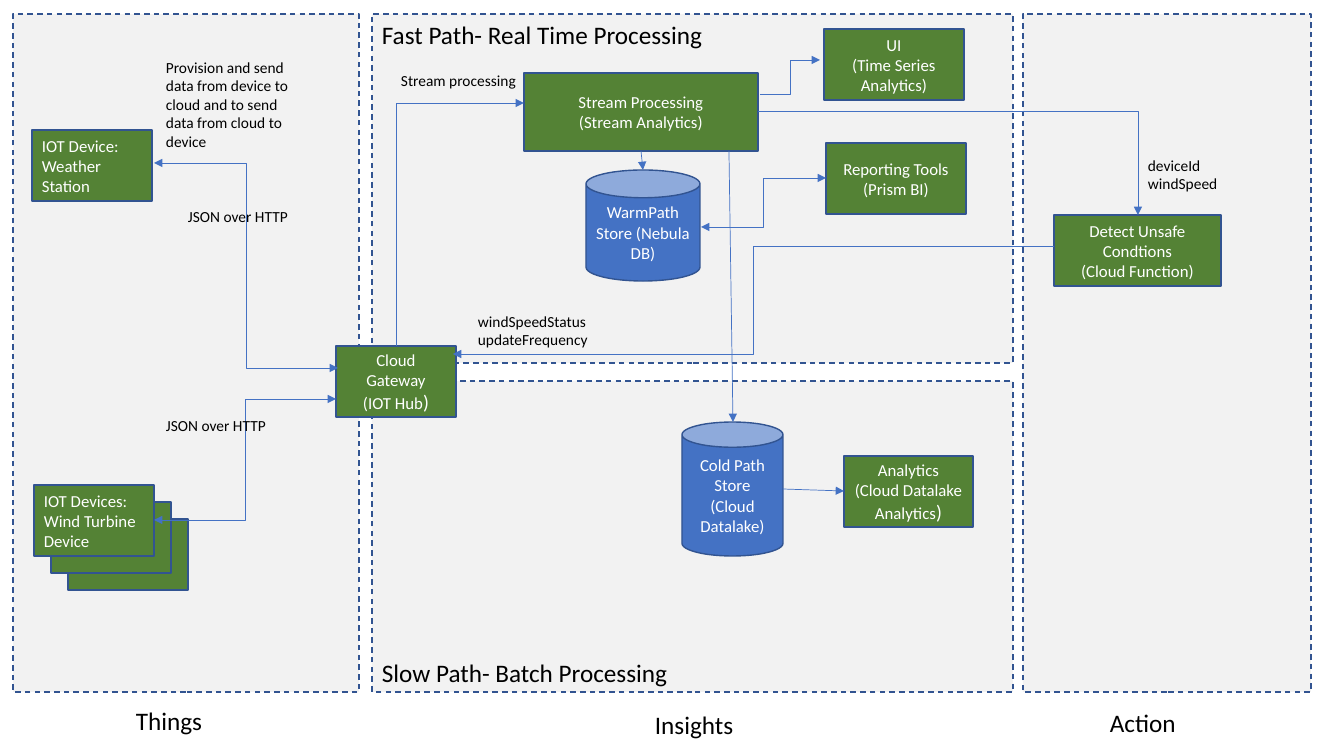
from lxml.etree import SubElement
from pptx import Presentation
from pptx.dml.color import RGBColor
from pptx.enum.dml import MSO_LINE
from pptx.enum.shapes import MSO_CONNECTOR, MSO_SHAPE
from pptx.enum.text import MSO_ANCHOR, PP_ALIGN
from pptx.oxml.ns import qn
from pptx.util import Emu, Pt

COLORS = {
    "panel": "F2F2F2", "service": "548235", "store": "4472C4",
    "outline": "325491", "flow": "4472C4", "dark": "000000", "light": "FFFFFF",
}
EMU_PER_PX = 914400 / 100.8
BOX_W, BOX_H = 120, 71


def px(*lengths):
    return [Emu(round(length * EMU_PER_PX)) for length in lengths]


def color(name):
    return RGBColor.from_string(COLORS[name])


def write(frame, lines, size, ink, align=PP_ALIGN.LEFT, anchor=MSO_ANCHOR.TOP):
    frame.word_wrap = True
    frame.vertical_anchor = anchor
    for i, line in enumerate(lines):
        paragraph = frame.paragraphs[0] if i == 0 else frame.add_paragraph()
        paragraph.alignment = align
        paragraph.font.size = Pt(size)
        paragraph.font.name = "Calibri"
        paragraph.font.color.rgb = color(ink)
        paragraph.add_run().text = line


def add_block(slide, kind, bounds, fill):
    block = slide.shapes.add_shape(kind, *px(*bounds))
    block.shadow.inherit = False
    block.fill.solid()
    block.fill.fore_color.rgb = color(fill)
    block.line.color.rgb = color("outline")
    block.line.width = Pt(1)
    return block


def add_panel(slide, bounds, heading=(), anchor=MSO_ANCHOR.TOP):
    panel = add_block(slide, MSO_SHAPE.RECTANGLE, bounds, "panel")
    panel.line.dash_style = MSO_LINE.DASH
    write(panel.text_frame, heading, 18, "dark", anchor=anchor)


def add_service(slide, bounds, lines=(), align=PP_ALIGN.CENTER, big_bracket=False):
    service = add_block(slide, MSO_SHAPE.RECTANGLE, bounds, "service")
    write(service.text_frame, lines, 12, "light", align, MSO_ANCHOR.MIDDLE)
    if big_bracket:
        bracket = service.text_frame.paragraphs[-1].add_run()
        bracket.text = ")"
        bracket.font.size = Pt(14)


def add_store(slide, bounds, name):
    store = add_block(slide, MSO_SHAPE.CAN, bounds, "store")
    write(store.text_frame, [name], 12, "light", PP_ALIGN.CENTER, MSO_ANCHOR.MIDDLE)


def add_label(slide, bounds, lines, size=11):
    label = slide.shapes.add_textbox(*px(*bounds))
    write(label.text_frame, lines, size, "dark")


def add_flow(slide, start, end, route="bentConnector3", arrows=("tailEnd",)):
    flow = slide.shapes.add_connector(MSO_CONNECTOR.ELBOW, *px(*start, *end))
    flow.line.color.rgb = color("flow")
    flow.line.width = Pt(0.5)
    properties = flow._element.spPr
    properties.find(qn("a:prstGeom")).set("prst", route)
    for arrow in arrows:
        SubElement(properties.find(qn("a:ln")), qn("a:" + arrow), type="triangle")
    SubElement(properties, qn("a:effectLst"))


def main():
    deck = Presentation()
    deck.slide_width, deck.slide_height = px(1344, 756)
    slide = deck.slides.add_slide(deck.slide_layouts[6])

    # Areas
    add_panel(slide, (13, 14, 346, 678))
    add_panel(slide, (1023, 14, 288, 678))
    add_panel(slide, (372, 381, 641, 311), ["Slow Path- Batch Processing"], MSO_ANCHOR.BOTTOM)
    add_panel(slide, (372, 14, 641, 349), ["Fast Path- Real Time Processing"])
    for name, left, top in (("Things", 126, 700), ("Insights", 645, 704), ("Action", 1100, 702)):
        add_label(slide, (left, top, 166, 40), [name], 18)

    # Devices, with a stack of turbines
    for step in (2, 1):
        add_service(slide, (34 + 17 * step, 485 + 17 * step, BOX_W, BOX_H))
    add_service(slide, (34, 485, BOX_W, BOX_H),
                ["IOT Devices:", "Wind Turbine Device"], PP_ALIGN.LEFT)
    add_service(slide, (32, 130, BOX_W, BOX_H),
                ["IOT Device:", "Weather Station"], PP_ALIGN.LEFT)

    # Services and stores
    add_service(slide, (336, 346, BOX_W, BOX_H), ["Cloud Gateway", "(IOT Hub"], big_bracket=True)
    add_service(slide, (524, 73, 234, 78), ["Stream Processing", "(Stream Analytics)"])
    add_service(slide, (1054, 215, 167, BOX_H), ["Detect Unsafe Condtions", "(Cloud Function)"])
    add_service(slide, (844, 456, 129, BOX_H),
                ["Analytics", "(Cloud Datalake Analytics"], big_bracket=True)
    add_service(slide, (824, 29, 140, BOX_H), ["UI", "(Time Series Analytics)"])
    add_service(slide, (826, 143, 140, BOX_H), ["Reporting Tools", "(Prism BI)"])
    add_store(slide, (682, 422, 101, 134), "Cold Path Store (Cloud Datalake)")
    add_store(slide, (586, 170, 114, 111), "WarmPath Store (Nebula DB)")

    # Flows
    both = ("headEnd", "tailEnd")
    add_flow(slide, (154, 163), (338, 368), arrows=both)
    add_flow(slide, (154, 520), (336, 399), arrows=both)
    add_flow(slide, (701, 227), (826, 178), arrows=both)
    add_flow(slide, (760, 94), (820, 60))
    add_flow(slide, (1054, 246), (453, 354))
    add_flow(slide, (524, 103), (396, 346), "bentConnector2", ("headEnd",))
    add_flow(slide, (758, 111), (1138, 215), "bentConnector2")
    for start, end in (((641, 151), (643, 170)), ((729, 151), (733, 422)), ((783, 489), (844, 491))):
        add_flow(slide, start, end, "line")

    # Flow labels
    add_label(slide, (156, 53, 156, 104),
              ["Provision and send data from device to cloud and to send data from cloud to device"])
    add_label(slide, (391, 66, 156, 29), ["Stream processing"])
    add_label(slide, (1138, 151, 92, 47), ["deviceId", "windSpeed"])
    add_label(slide, (468, 307, 147, 47), ["windSpeedStatus", "updateFrequency"])
    for left, top in ((178, 202), (156, 411)):
        add_label(slide, (left, top, 147, 29), ["JSON over HTTP"])

    deck.save("out.pptx")


main()
